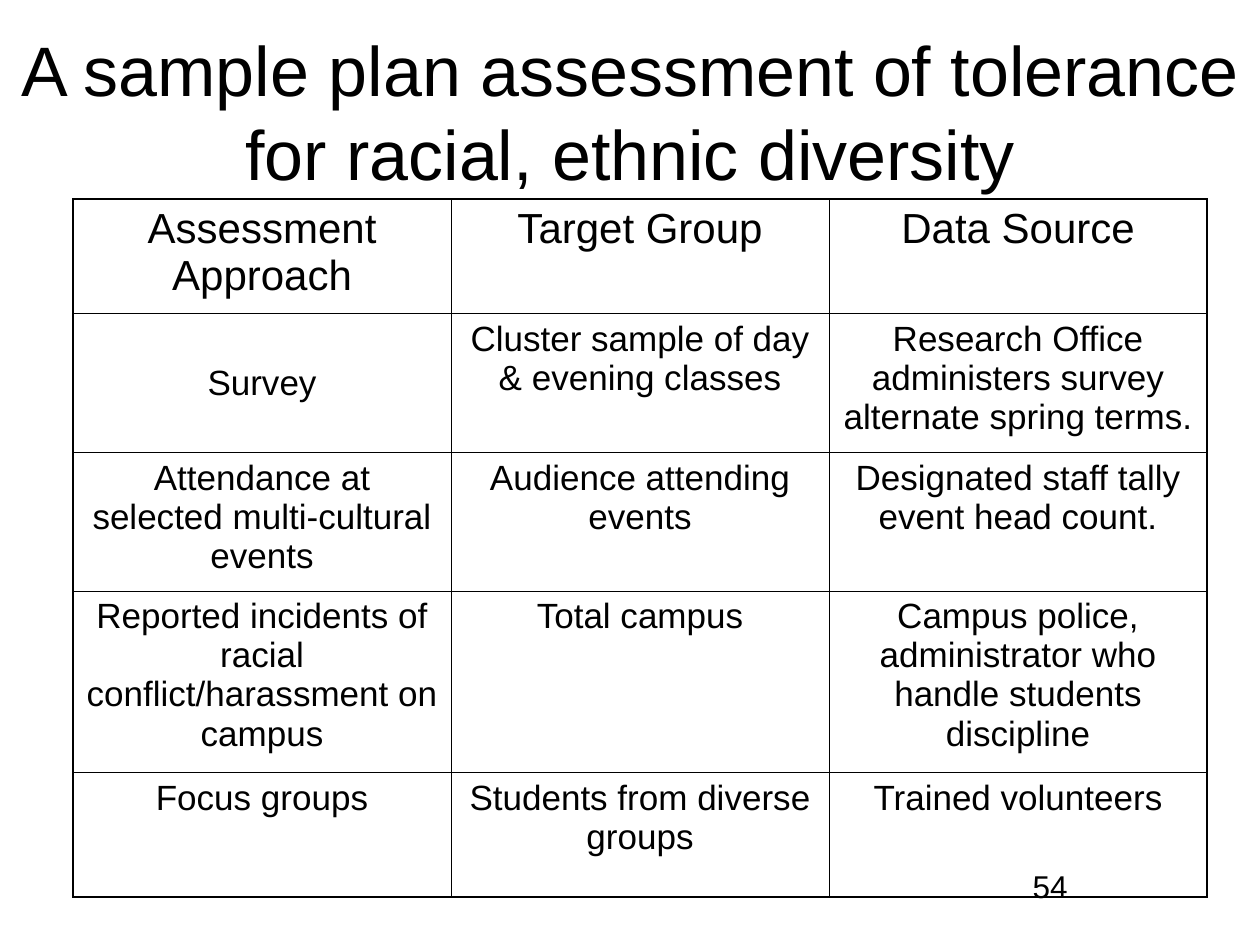
from lxml import etree
from pptx import Presentation
from pptx import util as u
from pptx.dml.color import RGBColor
from pptx.enum import text
from pptx.oxml import ns

INK = "000000"
FONT = "Arial"
THIN, THICK = 0.45, 1.08
ROW_HEIGHTS = (0.91, 1.1, 1.1, 1.44, 0.99)
ROWS = (
    ("Assessment Approach", "Target Group", "Data Source"),
    ("Survey", "Cluster sample of day & evening classes",
     "Research Office administers survey alternate spring terms."),
    ("Attendance at selected multi-cultural events", "Audience attending events",
     "Designated staff tally event head count."),
    ("Reported incidents of racial conflict/harassment on campus", "Total campus",
     "Campus police, administrator who handle students discipline"),
    ("Focus groups", "Students from diverse groups", "Trained volunteers"),
)


def colour(value):
    return RGBColor.from_string(value)


def place(shape, box):
    shape.left, shape.top, shape.width, shape.height = map(u.Inches, box)


def write(frame, words, size, alignment):
    frame.word_wrap = True
    paragraph = frame.paragraphs[0]
    paragraph.alignment = alignment
    run = paragraph.add_run()
    run.text = words
    run.font.name = FONT
    run.font.size = u.Pt(size)
    run.font.color.rgb = colour(INK)


def add_title(slide, box):
    title = slide.shapes.title
    place(title, box)
    frame = title.text_frame
    frame.auto_size = text.MSO_AUTO_SIZE.NONE
    frame.vertical_anchor = text.MSO_ANCHOR.MIDDLE
    write(frame, "A sample plan assessment of tolerance for racial, ethnic diversity",
          40, text.PP_ALIGN.CENTER)


def set_borders(cell, outer_sides):
    properties = cell._tc.get_or_add_tcPr()
    for side in "LRTB":
        width = THICK if side in outer_sides else THIN
        line = etree.SubElement(properties, ns.qn(f"a:ln{side}"), w=str(u.Pt(width)))
        fill = etree.SubElement(line, ns.qn("a:solidFill"))
        etree.SubElement(fill, ns.qn("a:srgbClr"), val=INK)


def add_plan_table(slide, box):
    left, top, width, height = map(u.Inches, box)
    last_row, last_column = len(ROWS) - 1, len(ROWS[0]) - 1
    table = slide.shapes.add_table(len(ROWS), len(ROWS[0]), left, top, width, height).table
    table.first_row = table.horz_banding = False
    for row, row_height in zip(table.rows, ROW_HEIGHTS):
        row.height = u.Inches(row_height)
    for i, row in enumerate(ROWS):
        for j, words in enumerate(row):
            cell = table.cell(i, j)
            edges = {"L": j == 0, "R": j == last_column, "T": i == 0, "B": i == last_row}
            set_borders(cell, [side for side, outer in edges.items() if outer])
            cell.fill.background()
            write(cell.text_frame, words, 24 if i == 0 else 20, text.PP_ALIGN.CENTER)
    table.cell(1, 0).vertical_anchor = text.MSO_ANCHOR.MIDDLE


def add_page_number(slide, box):
    number = slide.shapes.add_textbox(*map(u.Inches, box))
    write(number.text_frame, "54", 18, text.PP_ALIGN.LEFT)
    number.text_frame.paragraphs[0].alignment = text.PP_ALIGN.CENTER


def main():
    presentation = Presentation()
    presentation.slide_width = u.Inches(10)
    presentation.slide_height = u.Inches(7.5)
    slide = presentation.slides.add_slide(presentation.slide_layouts[5])
    add_title(slide, (0, 0.25, 10, 1.25))
    add_plan_table(slide, (0.58, 1.58, 9, sum(ROW_HEIGHTS)))
    add_page_number(slide, (7.17, 6.83, 2.33, 0.52))
    presentation.save("out.pptx")


if __name__ == "__main__":
    main()
